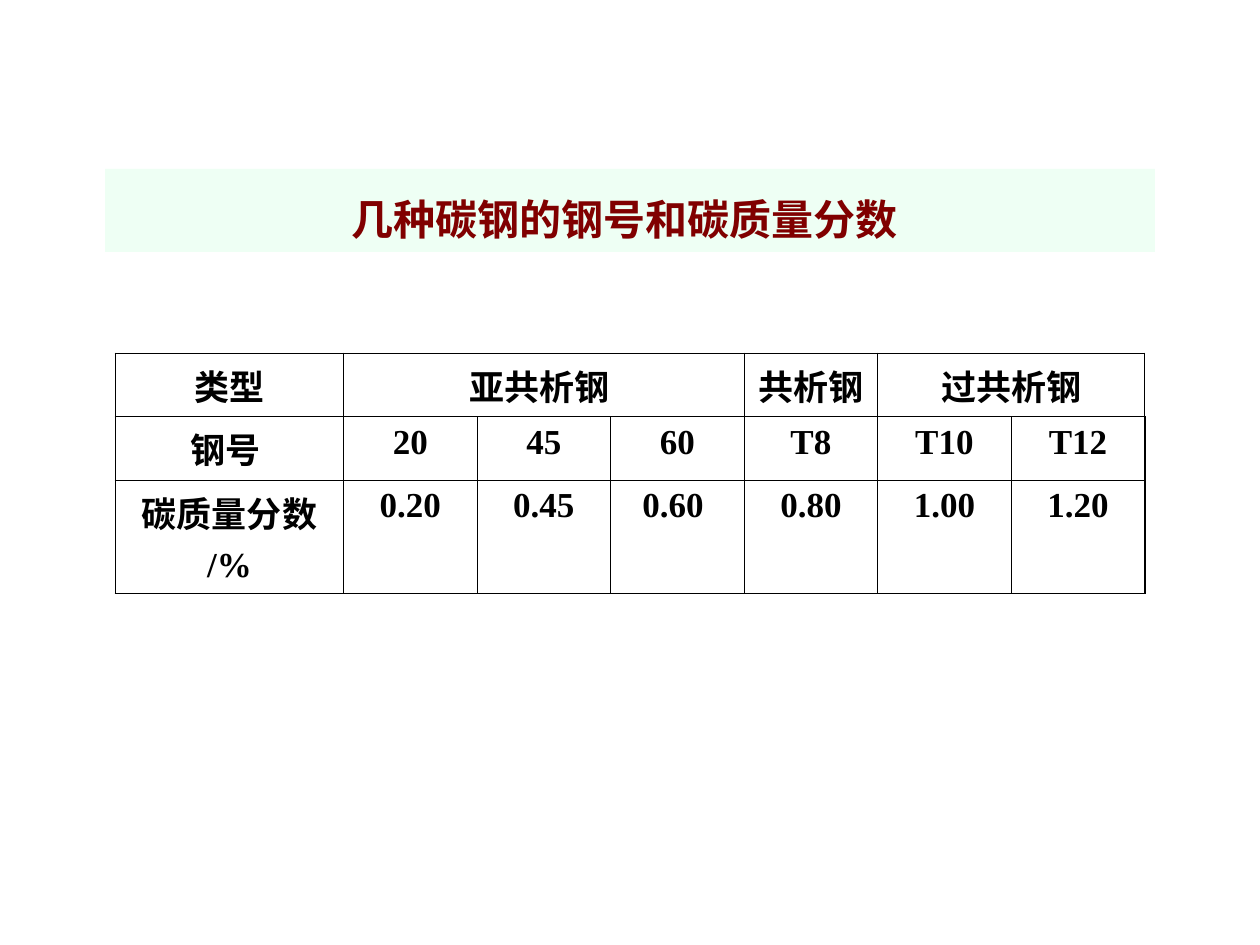
from dataclasses import dataclass

from lxml.etree import SubElement
from pptx import Presentation
from pptx.dml.color import RGBColor
from pptx.enum.shapes import MSO_SHAPE
from pptx.enum.text import MSO_ANCHOR, PP_ALIGN
from pptx.oxml.ns import qn
from pptx.util import Pt


@dataclass(frozen=True)
class Theme:
    banner: str = "EEFFF4"
    heading: str = "800000"
    ink: str = "000000"
    latin: str = "Times New Roman"
    east_asian: str = "Noto Sans CJK SC"
    heading_size: float = 24
    heading_end_size: float = 28
    body_size: float = 20
    outer_line: float = 1.08
    inner_line: float = 0.45


THEME = Theme()

STEEL_ROWS = [
    ["类型", "亚共析钢 ", "", "", "共析钢", "过共析钢", ""],
    ["钢号 ", "20", "45", "60", "T8", "T10", "T12"],
    ["碳质量分数\n/%", "0.20", "0.45", "0.60 ", "0.80", "1.00", "1.20"],
]
STEEL_GROUPS = [(1, 3), (5, 6)]  # first and last column of each merged header
ROW_HEIGHTS = [33.84, 35.28, 64.8]
LABEL_WIDTH, VALUE_WIDTH = 130.32, 76.32


def style_run(run, size, color):
    run.font.size = Pt(size)
    run.font.bold = True
    run.font.name = THEME.latin
    run.font.color.rgb = RGBColor.from_string(color)
    SubElement(run.font._element, qn("a:ea"), typeface=THEME.east_asian)


def add_banner(slide, heading):
    banner = slide.shapes.add_shape(
        MSO_SHAPE.RECTANGLE, Pt(60), Pt(96.48), Pt(600), Pt(47.52))
    banner.shadow.inherit = False
    banner.fill.solid()
    banner.fill.fore_color.rgb = RGBColor.from_string(THEME.banner)
    banner.line.fill.background()
    frame = banner.text_frame
    frame.word_wrap = True
    frame.vertical_anchor = MSO_ANCHOR.TOP
    frame.text = heading
    line = frame.paragraphs[0]
    line.alignment = PP_ALIGN.CENTER
    line.line_spacing = 1.2
    style_run(line.runs[0], THEME.heading_size, THEME.heading)
    # The heading ends in a larger space
    ending = line.add_run()
    ending.text = " "
    style_run(ending, THEME.heading_end_size, THEME.ink)


def set_borders(cell, widths):
    properties = cell._tc.get_or_add_tcPr()
    for position, (side, width) in enumerate(widths.items()):
        border = properties.makeelement(qn(f"a:ln{side}"), {"w": str(Pt(width))})
        fill = SubElement(border, qn("a:solidFill"))
        SubElement(fill, qn("a:srgbClr"), val=THEME.ink)
        properties.insert(position, border)


def fill_cell(cell, text):
    cell.fill.background()
    cell.vertical_anchor = MSO_ANCHOR.TOP
    cell.margin_left = cell.margin_right = Pt(7.2)
    cell.margin_top = cell.margin_bottom = Pt(3.6)
    cell.text_frame.text = text
    for number, paragraph in enumerate(cell.text_frame.paragraphs):
        paragraph.alignment = PP_ALIGN.CENTER
        if number:
            paragraph.space_before = Pt(5)
        paragraph.font.size = Pt(THEME.body_size)
        for run in paragraph.runs:
            style_run(run, THEME.body_size, THEME.ink)


def add_steel_table(slide):
    last_row, last_column = len(STEEL_ROWS) - 1, len(STEEL_ROWS[0]) - 1
    steel = slide.shapes.add_table(
        last_row + 1, last_column + 1, Pt(66), Pt(201.9),
        Pt(LABEL_WIDTH + last_column * VALUE_WIDTH), Pt(sum(ROW_HEIGHTS))).table
    steel.first_row = steel.horz_banding = False
    for index, column in enumerate(steel.columns):
        column.width = Pt(VALUE_WIDTH if index else LABEL_WIDTH)
    for row, height in zip(steel.rows, ROW_HEIGHTS):
        row.height = Pt(height)

    # Cells: heavier lines around the outside
    for r, texts in enumerate(STEEL_ROWS):
        for c, text in enumerate(texts):
            cell = steel.cell(r, c)
            fill_cell(cell, text)
            outside = {"L": c == 0, "R": c == last_column,
                       "T": r == 0, "B": r == last_row}
            set_borders(cell, {
                side: THEME.outer_line if is_outside else THEME.inner_line
                for side, is_outside in outside.items()})

    # Headers that cover several steel grades
    for first, last in STEEL_GROUPS:
        steel.cell(0, first).merge(steel.cell(0, last))


def main():
    presentation = Presentation()
    presentation.slide_width, presentation.slide_height = Pt(720), Pt(540)
    slide = presentation.slides.add_slide(presentation.slide_layouts[6])
    add_banner(slide, "几种碳钢的钢号和碳质量分数")
    add_steel_table(slide)
    presentation.save("out.pptx")


if __name__ == "__main__":
    main()
